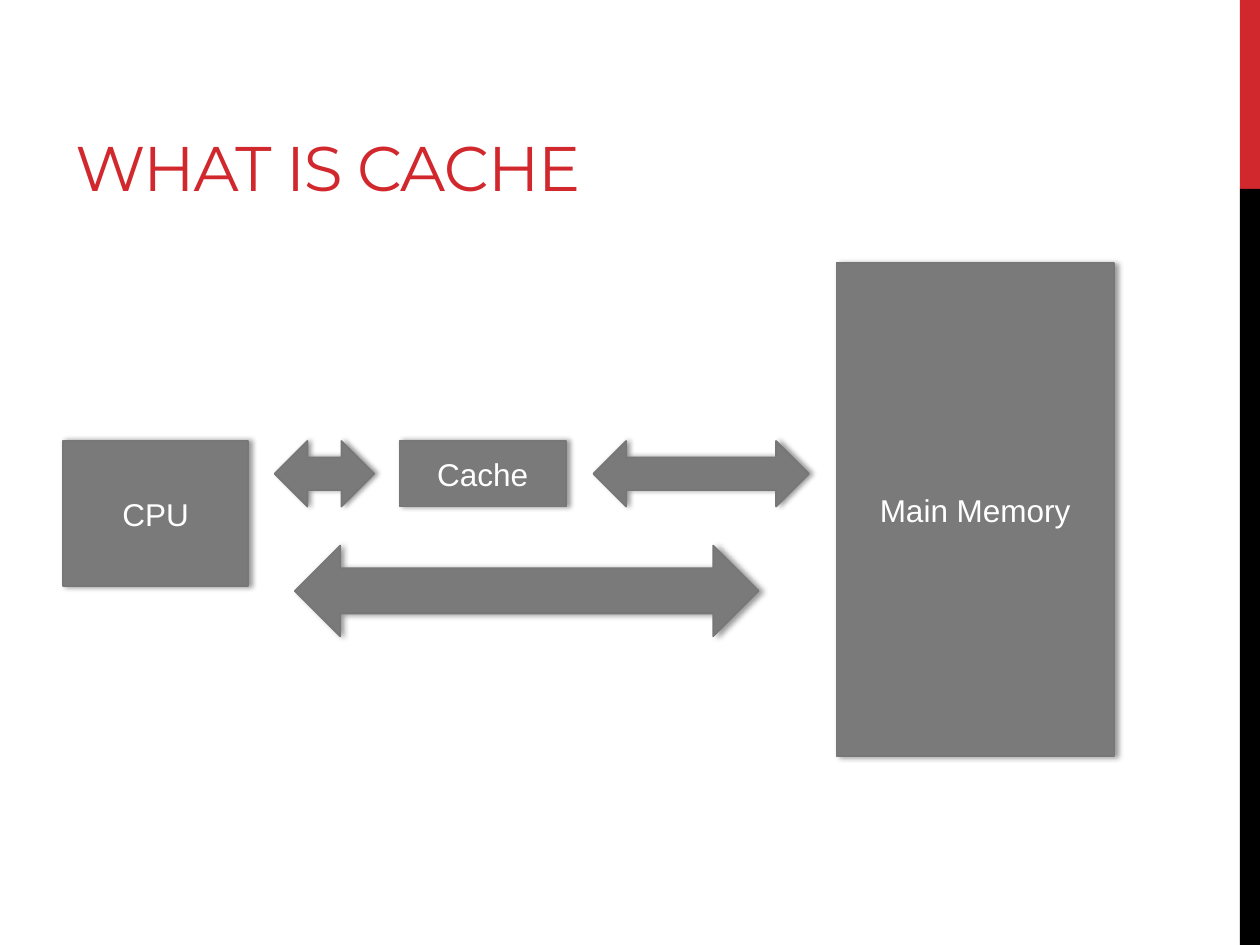
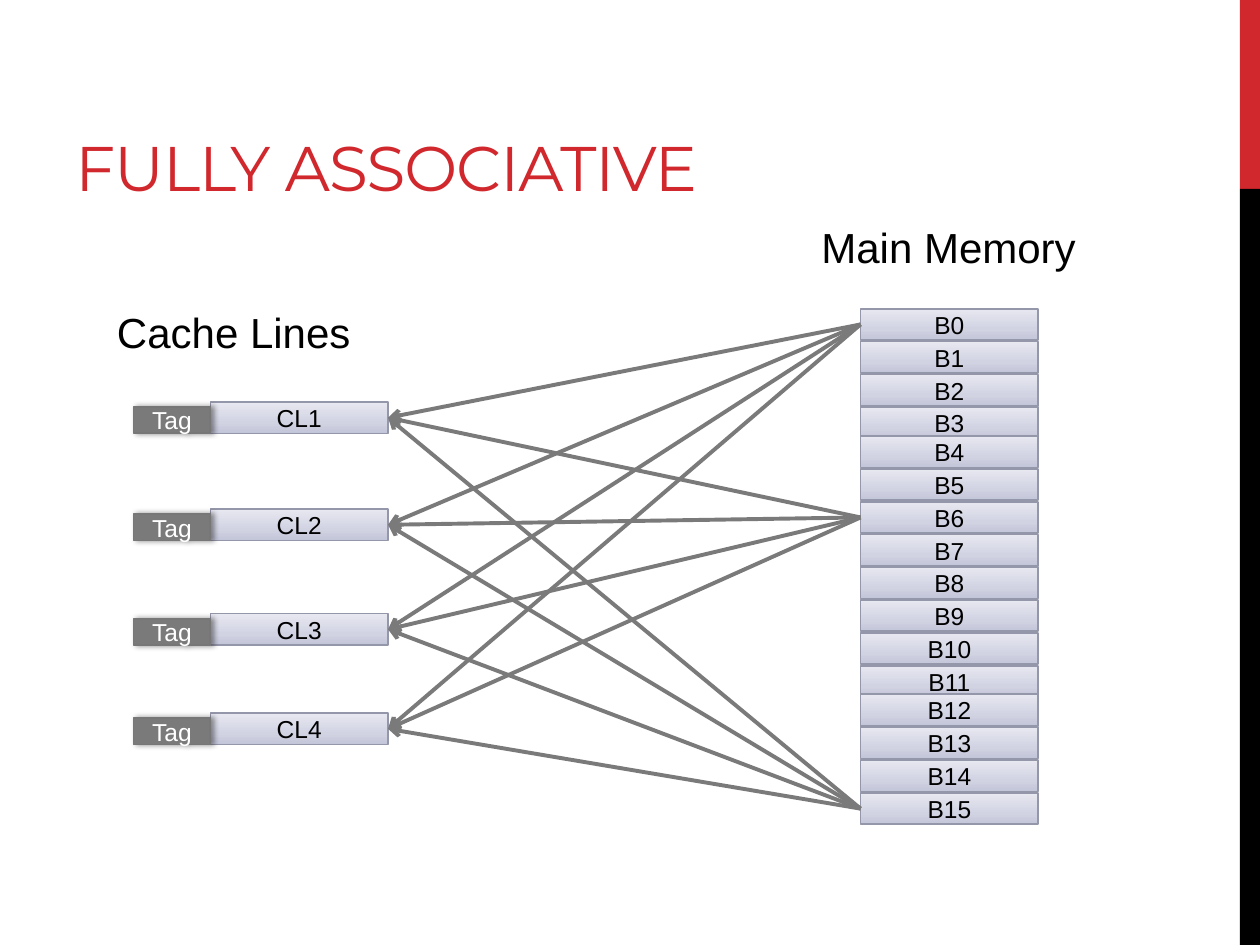
import copy
import pptx
import pptx.util
import pptx.dml.color
import pptx.enum.shapes
import pptx.enum.text
import pptx.oxml
import pptx.oxml.ns
import lxml.etree

COLOURS = {
    "accent": "D1282E", "black": "000000", "white": "FFFFFF",
    "grey": "7A7A7A", "grey_edge": "777777", "lilac_edge": "9496A9",
    "lilac_deep": "C3C5D9", "lilac_mid": "D1D3E3", "lilac_pale": "E8E8F1",
}
LILAC_STOPS = [(0, "lilac_deep"), (0.35, "lilac_mid"), (1, "lilac_pale")]
COLUMNS, ROWS = 100, 75
WIDTH, HEIGHT = pptx.util.Inches(10), pptx.util.Inches(7.5)

BAND_LEFT, BAND_SPLIT = 98.4, 15
TITLE_AREA = (5, 1.7, 63.3, 15)

PARTS = [
    ("CPU", (5, 35, 14.7, 11.5)),
    ("Main Memory", (66.4, 20.9, 22, 39.1)),
    ("Cache", (31.7, 35, 13.2, 5.2)),
]
EXCHANGES = [(23.4, 43.3, 36.8, 7.2), (21.8, 35, 7.9, 5.2), (47.1, 35, 17.1, 5.2)]

HEADINGS = [("Cache Lines", (8.3, 23.8, 22.5, 5)), ("Main Memory", (64.2, 17.1, 22.5, 5))]
CELL_WIDTH, CELL_HEIGHT = 14.1, 2.5
BLOCK_LEFT, BLOCK_PITCH = 68.3, 2.61
BLOCK_GROUP_TOPS = [24.5, 34.6, 45, 55.1]
BLOCKS_PER_GROUP = 4
LINE_LEFT, LINE_TOPS = 16.7, [31.9, 40.4, 48.7, 56.6]
TAG_WIDTH, TAG_HEIGHT = 6.1, 2.1
LINKED_BLOCKS = [0, 15, 6]

SHAPES = pptx.enum.shapes.MSO_SHAPE
ALIGN = pptx.enum.text.PP_ALIGN
ANCHOR = pptx.enum.text.MSO_ANCHOR


def colour(name):
    return pptx.dml.color.RGBColor.from_string(COLOURS[name])


def across(columns):
    return round(WIDTH * columns / COLUMNS)


def down(rows):
    return round(HEIGHT * rows / ROWS)


def place(area):
    left, top, width, height = area
    return across(left), down(top), across(width), down(height)


def write(box, text, size=18, font="Arial", ink="white", align=ALIGN.CENTER,
          anchor=ANCHOR.MIDDLE, spacing=None):
    frame = box.text_frame
    frame.word_wrap = True
    frame.vertical_anchor = anchor
    para = frame.paragraphs[0]
    para.alignment = align
    span = para.add_run()
    span.text = text
    span.font.size = pptx.util.Pt(size)
    span.font.name = font
    span.font.color.rgb = colour(ink)
    if spacing is not None:
        span.font._element.set("spc", str(round(spacing * 100)))


def add_label(page, area, text, **style):
    write(page.shapes.add_textbox(*place(area)), text, **style)


def add_plain(page, area, fill, edge=None, kind=SHAPES.RECTANGLE):
    box = page.shapes.add_shape(kind, *place(area))
    box.shadow.inherit = False
    box.fill.solid()
    box.fill.fore_color.rgb = colour(fill)
    if edge:
        box.line.color.rgb = colour(edge)
        box.line.width = pptx.util.Pt(1)
    else:
        box.line.fill.background()
    return box


def add_raised(page, area, kind=SHAPES.RECTANGLE):
    box = add_plain(page, area, "grey", "grey_edge", kind)
    effects = box._element.spPr.find(pptx.oxml.ns.qn("a:effectLst"))
    effects.append(pptx.oxml.parse_xml(
        f'<a:outerShdw {pptx.oxml.ns.nsdecls("a")} blurRad="{pptx.util.Pt(3.1)}" '
        f'dist="{pptx.util.Pt(1.8)}" dir="0" rotWithShape="0">'
        f'<a:srgbClr val="{COLOURS["black"]}"><a:alpha val="40000"/></a:srgbClr>'
        '</a:outerShdw>'))
    return box


def add_cell(page, left, top, text):
    box = add_plain(page, (left, top, CELL_WIDTH, CELL_HEIGHT), "lilac_mid", "lilac_edge")
    box.fill.gradient()
    box.fill.gradient_angle = 90
    stop_list = next(box._element.spPr.iter(pptx.oxml.ns.qn("a:gsLst")))
    stop_list.insert(1, copy.deepcopy(stop_list[0]))
    for stop, (position, name) in zip(box.fill.gradient_stops, LILAC_STOPS):
        stop.position = position
        stop.color.rgb = colour(name)
    write(box, text, size=14, ink="black")


def add_link(page, start, end):
    link = page.shapes.add_connector(
        pptx.enum.shapes.MSO_CONNECTOR.STRAIGHT,
        across(start[0]), down(start[1]), across(end[0]), down(end[1]))
    link.line.color.rgb = colour("grey")
    link.line.width = pptx.util.Pt(2.25)
    tail = lxml.etree.SubElement(link.line._get_or_add_ln(), pptx.oxml.ns.qn("a:tailEnd"))
    tail.set("type", "arrow")
    lxml.etree.SubElement(link._element.spPr, pptx.oxml.ns.qn("a:effectLst"))


def add_page(deck, title):
    page = deck.slides.add_slide(deck.slide_layouts[6])
    band_width = COLUMNS - BAND_LEFT
    add_plain(page, (BAND_LEFT, 0, band_width, BAND_SPLIT), "accent")
    add_plain(page, (BAND_LEFT, BAND_SPLIT, band_width, ROWS - BAND_SPLIT), "black")
    add_label(page, TITLE_AREA, title, size=36, font="Montserrat", ink="accent",
              align=ALIGN.LEFT, anchor=ANCHOR.BOTTOM, spacing=-0.6)
    return page


def build_overview(deck):
    page = add_page(deck, "WHAT IS CACHE")
    for text, area in PARTS:
        write(add_raised(page, area), text)
    for area in EXCHANGES:
        add_raised(page, area, SHAPES.LEFT_RIGHT_ARROW)


def build_mapping(deck):
    page = add_page(deck, "FULLY ASSOCIATIVE")
    block_tops = [top + step * BLOCK_PITCH
                  for top in BLOCK_GROUP_TOPS for step in range(BLOCKS_PER_GROUP)]
    for number, top in enumerate(block_tops):
        add_cell(page, BLOCK_LEFT, top, f"B{number}")
    for number, top in enumerate(LINE_TOPS, start=1):
        add_cell(page, LINE_LEFT, top, f"CL{number}")
        tag_area = (LINE_LEFT - TAG_WIDTH, top + CELL_HEIGHT - TAG_HEIGHT,
                    TAG_WIDTH, TAG_HEIGHT)
        write(add_raised(page, tag_area), "Tag", size=14)
    for text, area in HEADINGS:
        add_label(page, area, text, size=24, ink="black",
                  align=ALIGN.LEFT, anchor=ANCHOR.TOP)
    middle = CELL_HEIGHT / 2
    for number in LINKED_BLOCKS:
        for top in LINE_TOPS:
            add_link(page, (BLOCK_LEFT, block_tops[number] + middle),
                     (LINE_LEFT + CELL_WIDTH, top + middle))


deck = pptx.Presentation()
deck.slide_width, deck.slide_height = WIDTH, HEIGHT
build_overview(deck)
build_mapping(deck)
deck.save("out.pptx")
